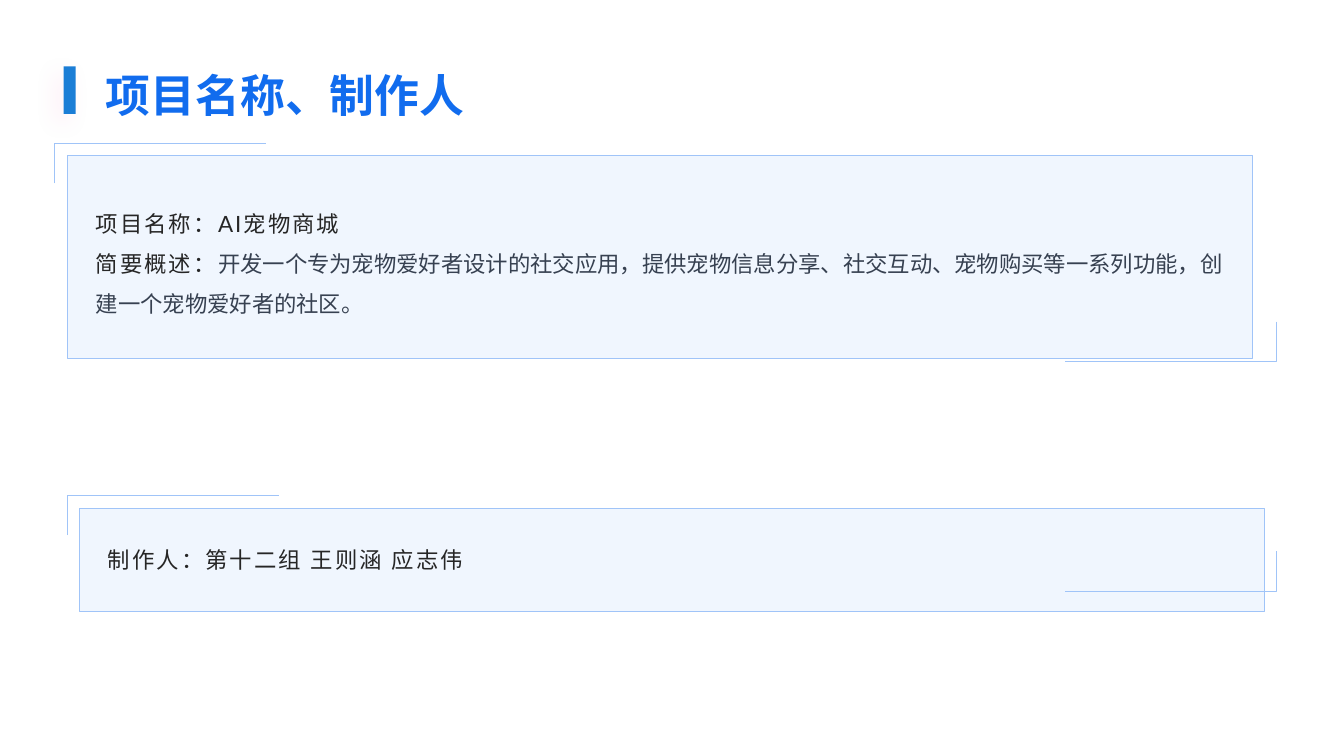
"""Build the project name and authors slide."""
from dataclasses import dataclass

from lxml import etree
from pptx import Presentation
from pptx.dml.color import RGBColor
from pptx.enum.lang import MSO_LANGUAGE_ID
from pptx.enum.shapes import MSO_SHAPE
from pptx.enum.text import MSO_ANCHOR, PP_ALIGN
from pptx.oxml.ns import qn
from pptx.util import Inches, Pt

RECTANGLE = MSO_SHAPE.RECTANGLE
MIDDLE, BOTTOM = MSO_ANCHOR.MIDDLE, MSO_ANCHOR.BOTTOM
LEFT = PP_ALIGN.LEFT
CHINESE = MSO_LANGUAGE_ID.SIMPLIFIED_CHINESE

COLORS = {
    "bar": "1B7ED6",
    "glow": "FF5DA9",
    "title": "116CEE",
    "panel": "CFE2FC",
    "line": "A0C4F8",
    "label": "262626",
    "body": "374151",
}
PANEL_WIDTH = 11.75
BRACKET_WIDTH, BRACKET_HEIGHT = 2.1, 0.4


@dataclass(frozen=True)
class Span:
    text: str
    font: str = "Lato"
    color: str = "label"
    size: int = 16
    spacing: float = 1.5
    bold: bool = False


@dataclass(frozen=True)
class Bracket:
    x: float
    y: float
    direction: int


@dataclass(frozen=True)
class Panel:
    left: float
    top: float
    height: float
    line_spacing: float
    paragraphs: tuple[tuple[Span, ...], ...]
    brackets: tuple[Bracket, ...]


TITLE = Span("项目名称、制作人", color="title", size=32, spacing=0, bold=True)
PANELS = (
    Panel(
        0.67, 1.54, 2.02, 1.5,
        (
            (Span("项目名称：AI宠物商城"),),
            (
                Span("简要概述："),
                Span(
                    "开发一个专为宠物爱好者设计的社交应用，提供宠物信息分享、社交互动、"
                    "宠物购买等一系列功能，创建一个宠物爱好者的社区。",
                    font="Arial", color="body", spacing=0,
                ),
            ),
        ),
        (Bracket(0.54, 1.42, 1), Bracket(12.66, 3.59, -1)),
    ),
    Panel(
        0.79, 5.04, 1.03, 1.0,
        ((Span("制作人：第十二组 王则涵 应志伟"),),),
        (Bracket(0.67, 4.91, 1), Bracket(12.66, 5.87, -1)),
    ),
)


def rgb(name: str) -> RGBColor:
    return RGBColor.from_string(COLORS[name])


def set_alpha(color_element, percent: int) -> None:
    etree.SubElement(color_element, qn("a:alpha"), val=str(percent * 1000))


def add_box(page, left: float, top: float, width: float, height: float, fill: str):
    box = page.shapes.add_shape(
        RECTANGLE, Inches(left), Inches(top), Inches(width), Inches(height)
    )
    box.shadow.inherit = False
    box.fill.solid()
    box.fill.fore_color.rgb = rgb(fill)
    return box


def set_outline(shape) -> None:
    shape.line.color.rgb = rgb("line")
    shape.line.width = Pt(0.5)


def write_span(para, span: Span) -> None:
    run = para.add_run()
    run.text = span.text
    font = run.font
    font.size, font.bold, font.name = Pt(span.size), span.bold, span.font
    font.color.rgb = rgb(span.color)
    font.language_id = CHINESE
    properties = run._r.get_or_add_rPr()
    properties.set("spc", str(int(span.spacing * 100)))
    etree.SubElement(properties, qn("a:ea"), typeface=span.font)


def write_text(box, paragraphs, anchor, insets, line_spacing: float = 1.0) -> None:
    frame = box.text_frame
    frame.word_wrap = True
    frame.vertical_anchor = anchor
    (frame.margin_left, frame.margin_top,
     frame.margin_right, frame.margin_bottom) = map(Inches, insets)
    for index, spans in enumerate(paragraphs):
        para = frame.add_paragraph() if index else frame.paragraphs[0]
        para.alignment = LEFT
        para.line_spacing = line_spacing
        for span in spans:
            write_span(para, span)


def add_title(page) -> None:
    bar = add_box(page, 0.63, 0.66, 0.12, 0.47, "bar")
    bar.line.fill.background()
    effects = bar._element.spPr.find(qn("a:effectLst"))
    shadow = etree.SubElement(
        effects, qn("a:outerShdw"), blurRad=str(Pt(16)), dist=str(Pt(8)),
        dir=str(135 * 60000), algn="tr", rotWithShape="0",
    )
    glow = etree.SubElement(shadow, qn("a:srgbClr"), val=COLORS["glow"])
    set_alpha(glow, 10)
    title = page.shapes.add_textbox(
        Inches(0.95), Inches(0.57), Inches(11.71), Inches(0.64)
    )
    write_text(title, ((TITLE,),), BOTTOM, (0.1, 0, 0.1, 0))


def add_bracket(page, bracket: Bracket) -> None:
    x, y = bracket.x, bracket.y
    arm_y = y + bracket.direction * BRACKET_HEIGHT
    arm_x = x + bracket.direction * BRACKET_WIDTH
    builder = page.shapes.build_freeform(Inches(x), Inches(arm_y))
    builder.add_line_segments(
        ((Inches(x), Inches(y)), (Inches(arm_x), Inches(y))), close=False
    )
    shape = builder.convert_to_shape()
    shape.shadow.inherit = False
    shape.fill.background()
    set_outline(shape)


def add_panel(page, panel: Panel) -> None:
    box = add_box(page, panel.left, panel.top, PANEL_WIDTH, panel.height, "panel")
    fill = box._element.spPr.find(qn("a:solidFill"))
    set_alpha(fill.find(qn("a:srgbClr")), 30)
    set_outline(box)
    write_text(
        box, panel.paragraphs, MIDDLE, (0.28, 0.05, 0.1, 0.05), panel.line_spacing
    )
    for bracket in panel.brackets:
        add_bracket(page, bracket)


def main() -> None:
    deck = Presentation()
    deck.slide_width, deck.slide_height = Inches(13.33), Inches(7.5)
    page = deck.slides.add_slide(deck.slide_layouts[6])
    add_title(page)
    for panel in PANELS:
        add_panel(page, panel)
    deck.save("out.pptx")


if __name__ == "__main__":
    main()
